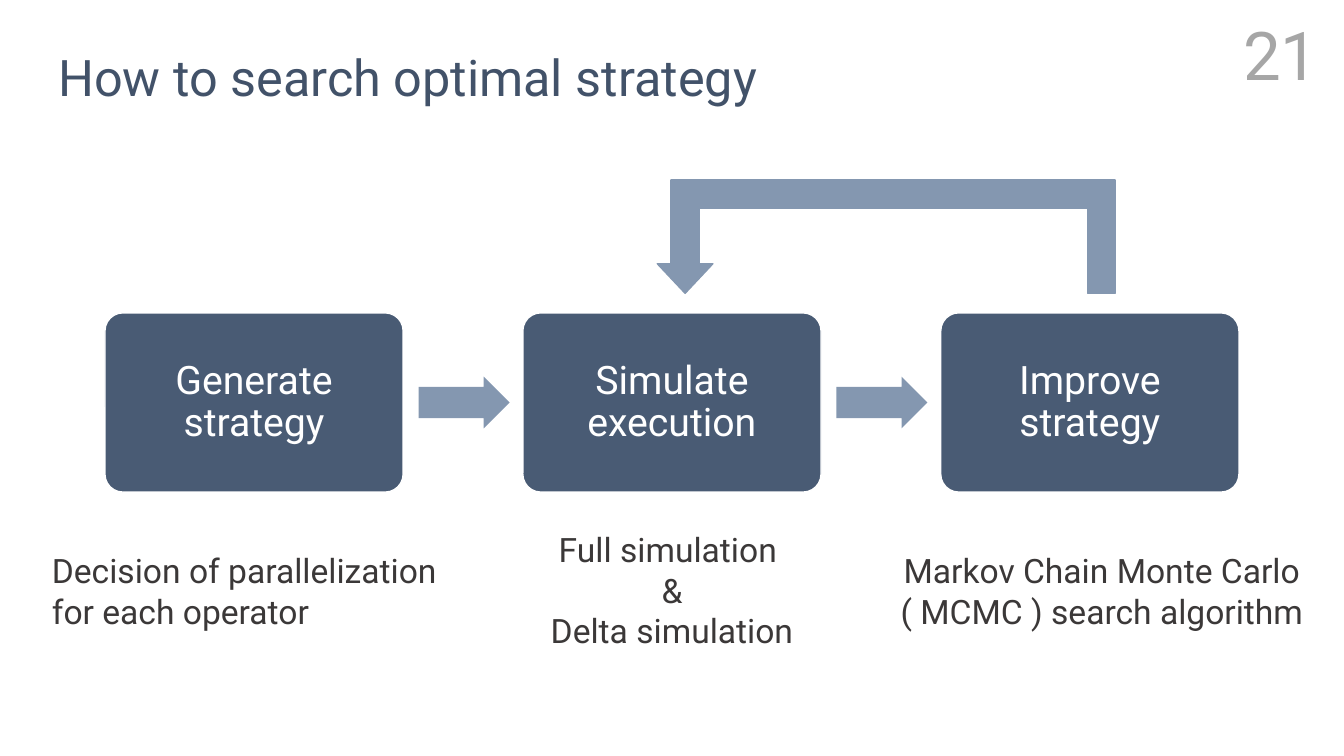
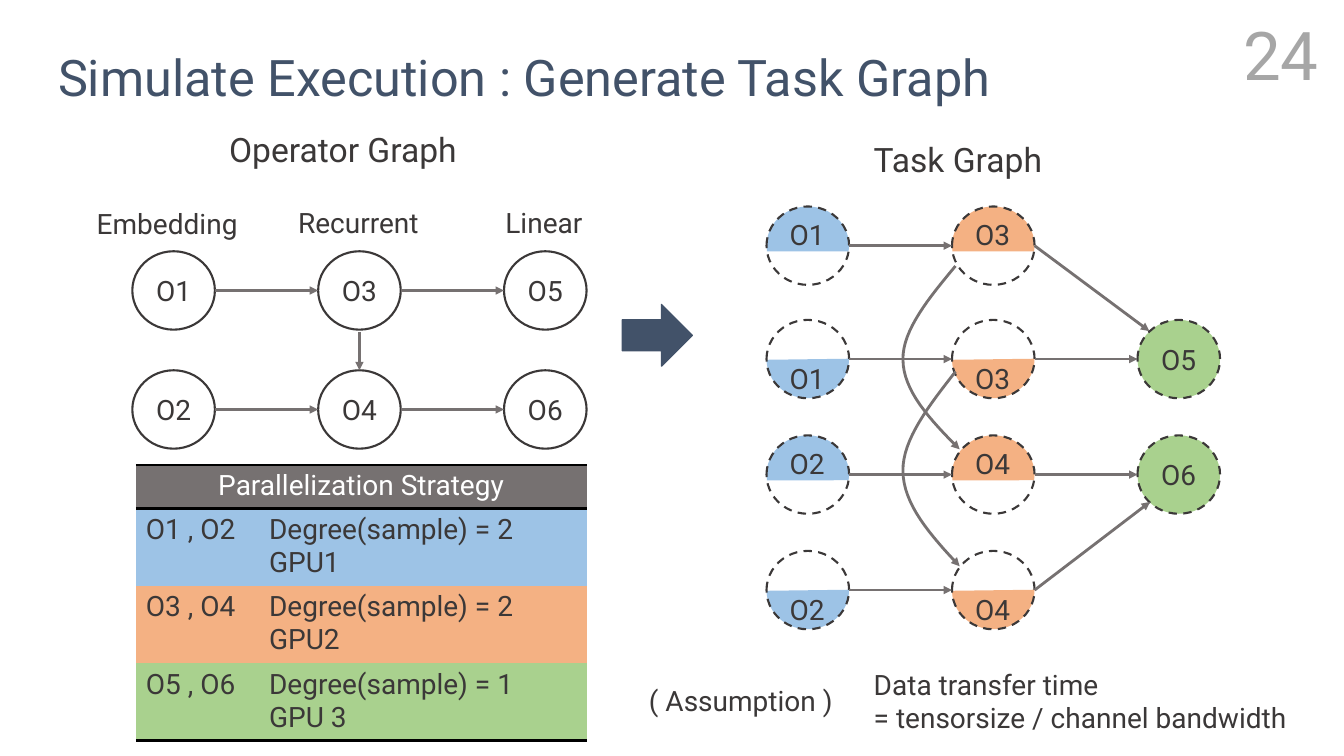
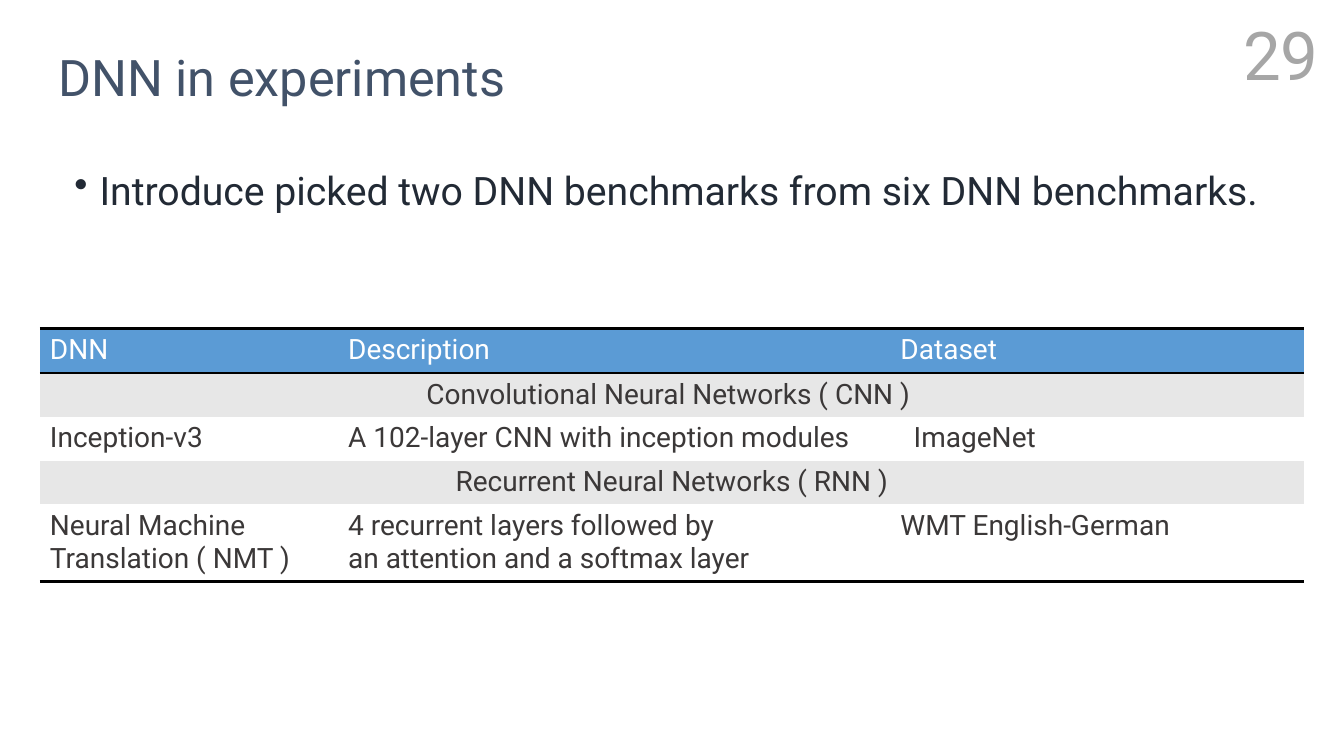
import lxml.etree
import pptx
import pptx.dml.color
import pptx.enum.dml
import pptx.enum.shapes
import pptx.enum.text
import pptx.oxml.ns
import pptx.util

Pt = pptx.util.Pt
RGBColor = pptx.dml.color.RGBColor
SHAPE = pptx.enum.shapes.MSO_SHAPE
ALIGN = pptx.enum.text.PP_ALIGN
ANCHOR = pptx.enum.text.MSO_ANCHOR
STRAIGHT = pptx.enum.shapes.MSO_CONNECTOR.STRAIGHT
qn = pptx.oxml.ns.qn

FONT = "Roboto"
NAVY = RGBColor(0x42, 0x52, 0x69)
SLATE = RGBColor(0x49, 0x5B, 0x74)
STEEL = RGBColor(0x84, 0x97, 0xB0)
INK = RGBColor(0x22, 0x2A, 0x35)
CHARCOAL = RGBColor(0x3B, 0x38, 0x38)
GRAY = RGBColor(0x76, 0x71, 0x71)
NUMBER_GRAY = RGBColor(0xA6, 0xA6, 0xA6)
BAND = RGBColor(0xE7, 0xE7, 0xE7)
WHITE = RGBColor(0xFF, 0xFF, 0xFF)
HEADER_BLUE = RGBColor(0x5B, 0x9B, 0xD5)
BLUE = RGBColor(0x9D, 0xC3, 0xE6)
ORANGE = RGBColor(0xF4, 0xB1, 0x83)
GREEN = RGBColor(0xA9, 0xD1, 0x8E)


def write_text(text_frame, text, size, color, alignment=ALIGN.LEFT, line_spacing=1.0):
    for index, content in enumerate(text.split("\n")):
        paragraph = text_frame.add_paragraph() if index else text_frame.paragraphs[0]
        paragraph.alignment = alignment
        paragraph.line_spacing = line_spacing
        for position, line in enumerate(content.split("\v")):
            if position:
                paragraph.add_line_break()
            run = paragraph.add_run()
            run.text = line
            run.font.name = FONT
            run.font.size = Pt(size)
            run.font.color.rgb = color


def add_shape(slide, kind, left, top, width, height, fill=None, line=None, weight=1):
    shape = slide.shapes.add_shape(kind, Pt(left), Pt(top), Pt(width), Pt(height))
    shape.shadow.inherit = False
    if fill is None:
        shape.fill.background()
    else:
        shape.fill.solid()
        shape.fill.fore_color.rgb = fill
    if line is None:
        shape.line.fill.background()
    else:
        shape.line.color.rgb = line
        shape.line.width = Pt(weight)
    text_frame = shape.text_frame
    text_frame.vertical_anchor = ANCHOR.MIDDLE
    text_frame.margin_left = text_frame.margin_right = 0
    return shape


presentation = pptx.Presentation()
presentation.slide_width = Pt(960)
presentation.slide_height = Pt(540)

labels = []
slides = []
for title_text, number in [
    ("How to search optimal strategy", "21"),
    ("Simulate Execution : Generate Task Graph", "24"),
    ("DNN in experiments", "29"),
]:
    slide = presentation.slides.add_slide(presentation.slide_layouts[5])
    title = slide.shapes.title
    title.left, title.top, title.width, title.height = Pt(30), Pt(8), Pt(828), Pt(82)
    title.text_frame.margin_left = Pt(11.5)
    title.text_frame.vertical_anchor = ANCHOR.MIDDLE
    title.text_frame.auto_size = pptx.enum.text.MSO_AUTO_SIZE.NONE
    write_text(title.text_frame, title_text, 36, NAVY, line_spacing=1.25)
    labels.append((slide, 671, 6, 278, number, 48, NUMBER_GRAY, ALIGN.RIGHT))
    slides.append(slide)
search_slide, graph_slide, experiment_slide = slides

for index, step in enumerate(["Generate\vstrategy", "Simulate\vexecution", "Improve\vstrategy"]):
    left = 75 + index * 298.5
    box = add_shape(search_slide, SHAPE.ROUNDED_RECTANGLE, left, 223.5, 213, 128, SLATE, WHITE)
    box.adjustments[0] = 0.1
    write_text(box.text_frame, step, 28, WHITE, ALIGN.CENTER, 0.9)
    if index < 2:
        arrow = add_shape(search_slide, SHAPE.RIGHT_ARROW, left + 224, 269, 65, 37, STEEL)
        arrow.adjustments[0] = 0.6

loop_arrow = add_shape(search_slide, SHAPE.BENT_UP_ARROW, 469.5, 128.5, 317.5, 81, STEEL, STEEL)
loop_arrow.rotation = 180
for index, value in enumerate([0.25, 0.245, 0.261]):
    loop_arrow.adjustments[index] = value
add_shape(search_slide, SHAPE.RECTANGLE, 777, 128.5, 19.5, 81, STEEL, STEEL)

labels += [
    (search_slide, 634.5, 389.5, 305, "Markov Chain Monte Carlo\v( MCMC ) search algorithm", 24, CHARCOAL, ALIGN.CENTER),
    (search_slide, 386, 374.5, 188, "Full simulation \n&\nDelta simulation", 24, CHARCOAL, ALIGN.CENTER),
    (search_slide, 30, 389.5, 297, "Decision of parallelization \vfor each operator", 24, CHARCOAL, ALIGN.LEFT),
]

NODE_WIDTH, NODE_HEIGHT = 59, 56
operator_columns = [94.5 + index * 132.75 for index in range(3)]
operator_rows = [179.5, 264.5]
for column, left in enumerate(operator_columns):
    for row, top in enumerate(operator_rows):
        node = add_shape(graph_slide, SHAPE.OVAL, left, top, NODE_WIDTH, NODE_HEIGHT, None, CHARCOAL, 1.5)
        write_text(node.text_frame, f"O{2 * column + row + 1}", 20, CHARCOAL, ALIGN.CENTER)

arrows = [
    (left + NODE_WIDTH, top + NODE_HEIGHT / 2, left + 132.75, top + NODE_HEIGHT / 2)
    for left in operator_columns[:2]
    for top in operator_rows
]
middle = operator_columns[1] + NODE_WIDTH / 2
arrows.append((middle, operator_rows[0] + NODE_HEIGHT + 2, middle, operator_rows[1]))

task_rows = [147.5, 228.5, 311, 393.5]
task_left, task_middle, task_right = 547.5, 680, 812.5
dashed_nodes = []
for row, top in enumerate(task_rows):
    lower_half = row % 2
    for left, first_operator, fill in [(task_left, 1, BLUE), (task_middle, 3, ORANGE)]:
        half = add_shape(graph_slide, SHAPE.CHORD, left, top, NODE_WIDTH, NODE_HEIGHT, fill)
        start, end = (215.72, 107.4) if lower_half else (103.14, 4.76)
        half.adjustments[0] = start
        half.adjustments[1] = end
        dashed_nodes.append(add_shape(graph_slide, SHAPE.OVAL, left, top, NODE_WIDTH, NODE_HEIGHT, None, CHARCOAL, 1.5))
        label_top = top + (26.5 if lower_half else 4.5)
        labels.append((graph_slide, left + 9.5, label_top, 41, f"O{first_operator + row // 2}", 20, CHARCOAL, ALIGN.LEFT))
    center = top + NODE_HEIGHT / 2
    arrows.append((task_left + NODE_WIDTH, center, task_middle, center))

for name, top in zip(["O5", "O6"], task_rows[1:3]):
    node = add_shape(graph_slide, SHAPE.OVAL, task_right, top, NODE_WIDTH, NODE_HEIGHT, GREEN, CHARCOAL, 1.5)
    write_text(node.text_frame, name, 20, CHARCOAL, ALIGN.CENTER)
    dashed_nodes.append(node)
    center = top + NODE_HEIGHT / 2
    arrows.append((task_middle + NODE_WIDTH, center, task_right, center))
for node in dashed_nodes:
    node.line.dash_style = pptx.enum.dml.MSO_LINE.DASH

arrows += [
    (task_middle + NODE_WIDTH, 175.5, 821, 236.5),
    (task_middle + NODE_WIDTH, 421.5, 821.5, 358.5),
]
strokes = [
    graph_slide.shapes.add_connector(STRAIGHT, *[Pt(value) for value in arrow]) for arrow in arrows
]

curve_halves = [
    [(0, 0), (-18.5, 0.17), (-38, 0.35), (-37.5, 0.51)],
    [(-37.5, 0.51), (-37.5, 0.68), (-18, 0.84), (3, 1)],
]
for start_top, height in [(190, 131), (265.5, 139)]:
    points = []
    for controls in curve_halves:
        for step in range(1, 17):
            t = step / 16
            weights = [(1 - t) ** 3, 3 * t * (1 - t) ** 2, 3 * t**2 * (1 - t), t**3]
            x = sum(weight * control[0] for weight, control in zip(weights, controls))
            y = sum(weight * control[1] for weight, control in zip(weights, controls))
            points.append((Pt(682.5 + x), Pt(start_top + y * height)))
    builder = graph_slide.shapes.build_freeform(Pt(682.5), Pt(start_top))
    builder.add_line_segments(points, close=False)
    curve = builder.convert_to_shape()
    curve.fill.background()
    strokes.append(curve)

for stroke in strokes:
    stroke.line.color.rgb = GRAY
    stroke.line.width = Pt(2)
    properties = stroke.element.spPr
    lxml.etree.SubElement(properties.find(qn("a:ln")), qn("a:tailEnd"), type="triangle")
    lxml.etree.SubElement(properties, qn("a:effectLst"))

add_shape(graph_slide, SHAPE.RIGHT_ARROW, 444.5, 217.5, 50, 44, NAVY, NAVY)

labels += [
    (graph_slide, 152.5, 88.5, 185, "Operator Graph", 24, CHARCOAL, ALIGN.CENTER),
    (graph_slide, 615.5, 96, 137.5, "Task Graph", 24, CHARCOAL, ALIGN.CENTER),
    (graph_slide, 62, 144, 118, "Embedding", 20, CHARCOAL, ALIGN.LEFT),
    (graph_slide, 204.5, 143.5, 103, "Recurrent", 20, CHARCOAL, ALIGN.CENTER),
    (graph_slide, 353.5, 143.5, 70, "Linear", 20, CHARCOAL, ALIGN.CENTER),
    (graph_slide, 617, 473, 314, "Data transfer time \v= tensorsize / channel bandwidth", 20, CHARCOAL, ALIGN.LEFT),
    (graph_slide, 456.5, 485, 149, "( Assumption )", 20, CHARCOAL, ALIGN.LEFT),
]

for slide, left, top, width, text, size, color, alignment in labels:
    line_count = len(text.splitlines())
    label = slide.shapes.add_textbox(Pt(left), Pt(top), Pt(width), Pt(7.2 + line_count * size * 1.18))
    label.text_frame.word_wrap = False
    write_text(label.text_frame, text, size, color, alignment)

body = experiment_slide.shapes.add_textbox(Pt(46), Pt(106.5), Pt(868), Pt(60))
body.text_frame.word_wrap = True
write_text(body.text_frame, "Introduce picked two DNN benchmarks from six DNN benchmarks.", 28, INK, line_spacing=1.25)
bullet_properties = body.text_frame.paragraphs[0]._p.get_or_add_pPr()
bullet_properties.set("marL", str(Pt(18)))
bullet_properties.set("indent", str(Pt(-18)))
lxml.etree.SubElement(bullet_properties, qn("a:buChar"), char="•")

strategy_rows = [
    (GRAY, WHITE, ALIGN.CENTER, [("Parallelization Strategy", 2)]),
    (BLUE, CHARCOAL, ALIGN.LEFT, [("O1 , O2", 1), ("Degree(sample) = 2\nGPU1", 1)]),
    (ORANGE, CHARCOAL, ALIGN.LEFT, [("O3 , O4", 1), ("Degree(sample) = 2\nGPU2", 1)]),
    (GREEN, CHARCOAL, ALIGN.LEFT, [("O5 , O6", 1), ("Degree(sample) = 1\nGPU 3", 1)]),
]
network_rows = [
    (HEADER_BLUE, WHITE, ALIGN.LEFT, [("DNN", 1), ("Description", 1), ("Dataset", 2)]),
    (BAND, CHARCOAL, ALIGN.CENTER, [("Convolutional Neural Networks ( CNN ) ", 4)]),
    (WHITE, CHARCOAL, ALIGN.LEFT, [("Inception-v3", 1), ("A 102-layer CNN with inception modules", 2), ("ImageNet", 1)]),
    (BAND, CHARCOAL, ALIGN.CENTER, [("Recurrent Neural Networks ( RNN )", 4)]),
    (WHITE, CHARCOAL, ALIGN.LEFT, [
        ("Neural Machine Translation ( NMT )", 1),
        ("4 recurrent layers followed by \van attention and a softmax layer", 1),
        ("WMT English-German", 2),
    ]),
]
for slide, left, top, widths, heights, rows in [
    (graph_slide, 97, 332, [88, 234], [31, 54.2, 54.2, 54.2], strategy_rows),
    (experiment_slide, 28.5, 234.5, [213, 394.5, 9.5, 286], [32, 31, 31, 31, 54.2], network_rows),
]:
    frame = slide.shapes.add_table(len(rows), len(widths), Pt(left), Pt(top), Pt(sum(widths)), Pt(sum(heights)))
    table = frame.table
    table.first_row = table.horz_banding = False
    table._tbl.tblPr.find(qn("a:tableStyleId")).text = "{2D5ABB26-0587-4C30-8999-92F81FD0307C}"
    for column, width in zip(table.columns, widths):
        column.width = Pt(width)
    for row_index, (fill, color, alignment, contents) in enumerate(rows):
        table.rows[row_index].height = Pt(heights[row_index])
        column_index = 0
        for text, span in contents:
            cell = table.cell(row_index, column_index)
            if span > 1:
                cell.merge(table.cell(row_index, column_index + span - 1))
            write_text(cell.text_frame, text, 20, color, alignment)
            column_index += span
        sides = []
        if row_index == 0:
            sides = ["a:lnT", "a:lnB"]
        elif row_index == len(rows) - 1:
            sides = ["a:lnB"]
        for cell in table.rows[row_index].cells:
            cell.fill.solid()
            cell.fill.fore_color.rgb = fill
            cell_properties = cell._tc.get_or_add_tcPr()
            for position, side in enumerate(sides):
                border = lxml.etree.Element(qn(side), w=str(Pt(2)))
                border_fill = lxml.etree.SubElement(border, qn("a:solidFill"))
                lxml.etree.SubElement(border_fill, qn("a:srgbClr"), val="000000")
                cell_properties.insert(position, border)

presentation.save("out.pptx")
